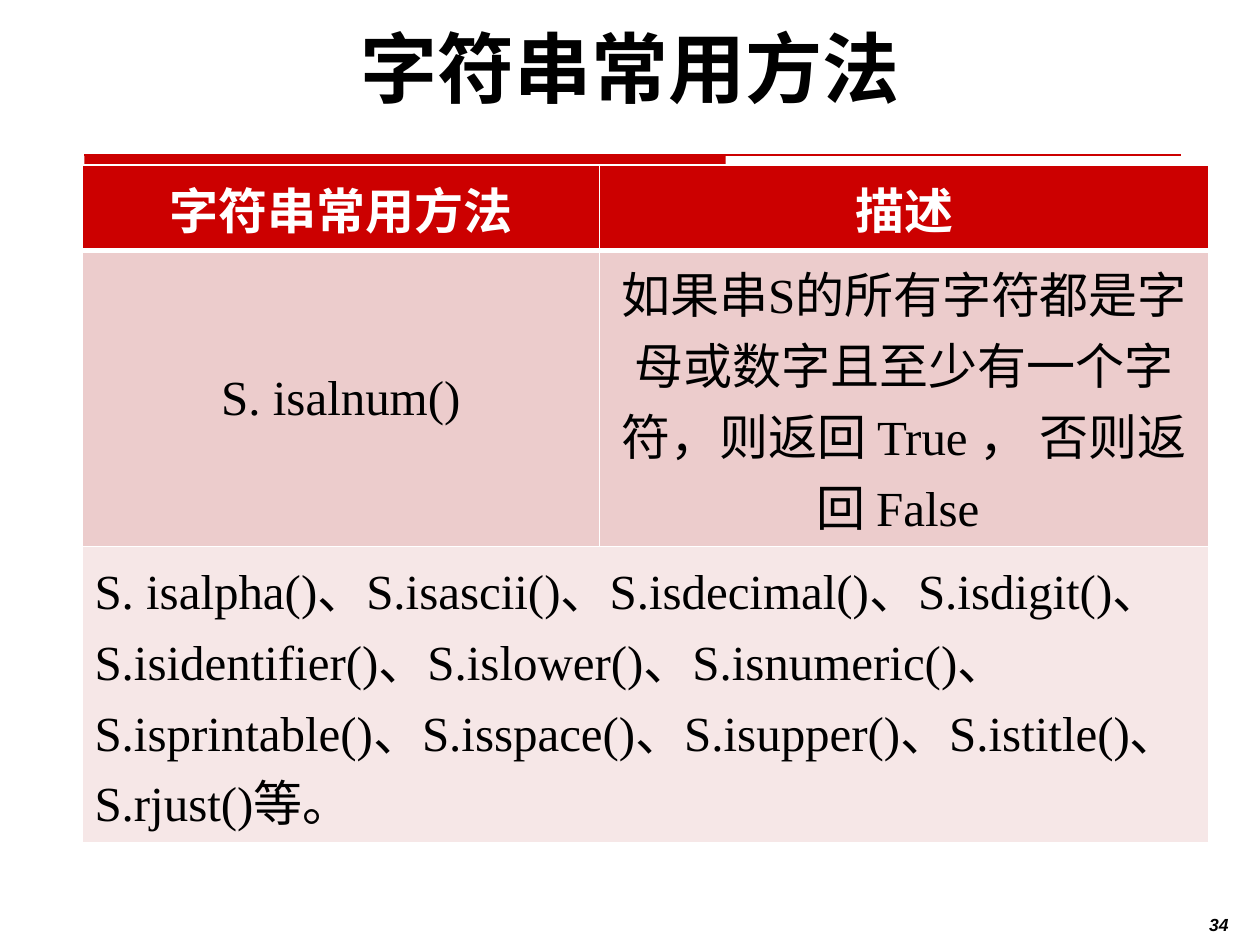
from lxml.etree import SubElement
from pptx import Presentation
from pptx.dml.color import RGBColor
from pptx.enum.shapes import MSO_CONNECTOR, MSO_SHAPE
from pptx.enum.text import MSO_ANCHOR, PP_ALIGN
from pptx.oxml import parse_xml
from pptx.oxml.ns import nsdecls, qn
from pptx.util import Inches, Pt

COLORS = {"red": "CC0000", "pink": "ECCCCC", "pale": "F6E7E7",
          "white": "FFFFFF", "black": "000000"}


def color(name):
    return RGBColor.from_string(COLORS[name])


def write(text_frame, text, size, font="Times New Roman", ink="black",
          bold=False, italic=False, align=PP_ALIGN.CENTER):
    paragraph = text_frame.paragraphs[0]
    paragraph.alignment = align
    run = paragraph.add_run()
    run.text = text
    run.font.size = Pt(size)
    run.font.name = font
    run.font.bold = bold
    run.font.italic = italic
    run.font.color.rgb = color(ink)


presentation = Presentation()
presentation.slide_width = Inches(10)
presentation.slide_height = Inches(7.5)
slide = presentation.slides.add_slide(presentation.slide_layouts[5])

# Title
title = slide.shapes.title
title.left, title.top = Inches(2.7), Inches(0.21)
title.width, title.height = Inches(4.61), Inches(0.74)
title.text_frame.vertical_anchor = MSO_ANCHOR.BOTTOM
write(title.text_frame, "字符串常用方法", 44, font="Lato", bold=True)

# Red bar and thin rule under the title
bar = slide.shapes.add_shape(MSO_SHAPE.RECTANGLE, Inches(0.67), Inches(1.23),
                             Inches(5.09), Inches(0.12))
bar.shadow.inherit = False
bar.fill.solid()
bar.fill.fore_color.rgb = color("red")
bar.line.fill.background()

rule = slide.shapes.add_connector(MSO_CONNECTOR.STRAIGHT, Inches(0.67), Inches(1.23),
                                  Inches(9.37), Inches(1.23))
rule.line.color.rgb = color("red")
rule.line.width = Pt(0.75)
SubElement(rule._element.spPr, qn("a:effectLst"))

# Table of string methods
rows = [
    ("red", ["字符串常用方法", "描述"]),
    ("pink", ["S. isalnum()",
              "如果串S的所有字符都是字母或数字且至少有一个字符，则返回 True ， 否则返回 False "]),
    ("pale", ["S. isalpha()、S.isascii()、S.isdecimal()、S.isdigit()、S.isidentifier()、"
              "S.islower()、S.isnumeric()、S.isprintable()、S.isspace()、S.isupper()、"
              "S.istitle()、S.rjust()等。"]),
]
row_heights = [0.68, 2.34, 2.34]
column_widths = [4.11, 4.83]
table = slide.shapes.add_table(3, 2, Inches(0.65), Inches(1.31),
                               Inches(sum(column_widths)), Inches(sum(row_heights))).table
for column, width in zip(table.columns, column_widths):
    column.width = Inches(width)
for row, height in zip(table.rows, row_heights):
    row.height = Inches(height)
table.cell(2, 0).merge(table.cell(2, 1))

for row_index, (fill, texts) in enumerate(rows):
    is_header = row_index == 0
    for column_index in range(2):
        cell = table.cell(row_index, column_index)
        cell.fill.solid()
        cell.fill.fore_color.rgb = color(fill)
        cell.vertical_anchor = MSO_ANCHOR.MIDDLE
        borders = {"L": 1, "R": 1, "T": 3 if row_index == 1 else 1, "B": 3 if is_header else 1}
        for position, (side, width) in enumerate(borders.items()):
            cell._tc.get_or_add_tcPr().insert(position, parse_xml(
                f'<a:ln{side} {nsdecls("a")} w="{Pt(width)}"><a:solidFill>'
                f'<a:srgbClr val="{COLORS["white"]}"/></a:solidFill></a:ln{side}>'))
        if column_index < len(texts):
            write(cell.text_frame, texts[column_index], 28, bold=is_header,
                  ink="white" if is_header else "black",
                  align=PP_ALIGN.LEFT if row_index == 2 else PP_ALIGN.CENTER)

# Slide number
number = slide.shapes.add_textbox(Inches(8.92), Inches(7.02), Inches(0.83), Inches(0.4))
frame = number.text_frame
frame.word_wrap = True
frame.vertical_anchor = MSO_ANCHOR.BOTTOM
frame.margin_left = frame.margin_right = frame.margin_top = frame.margin_bottom = 0
write(frame, "34", 10, font="Arial", bold=True, italic=True, align=PP_ALIGN.RIGHT)

presentation.save("out.pptx")
